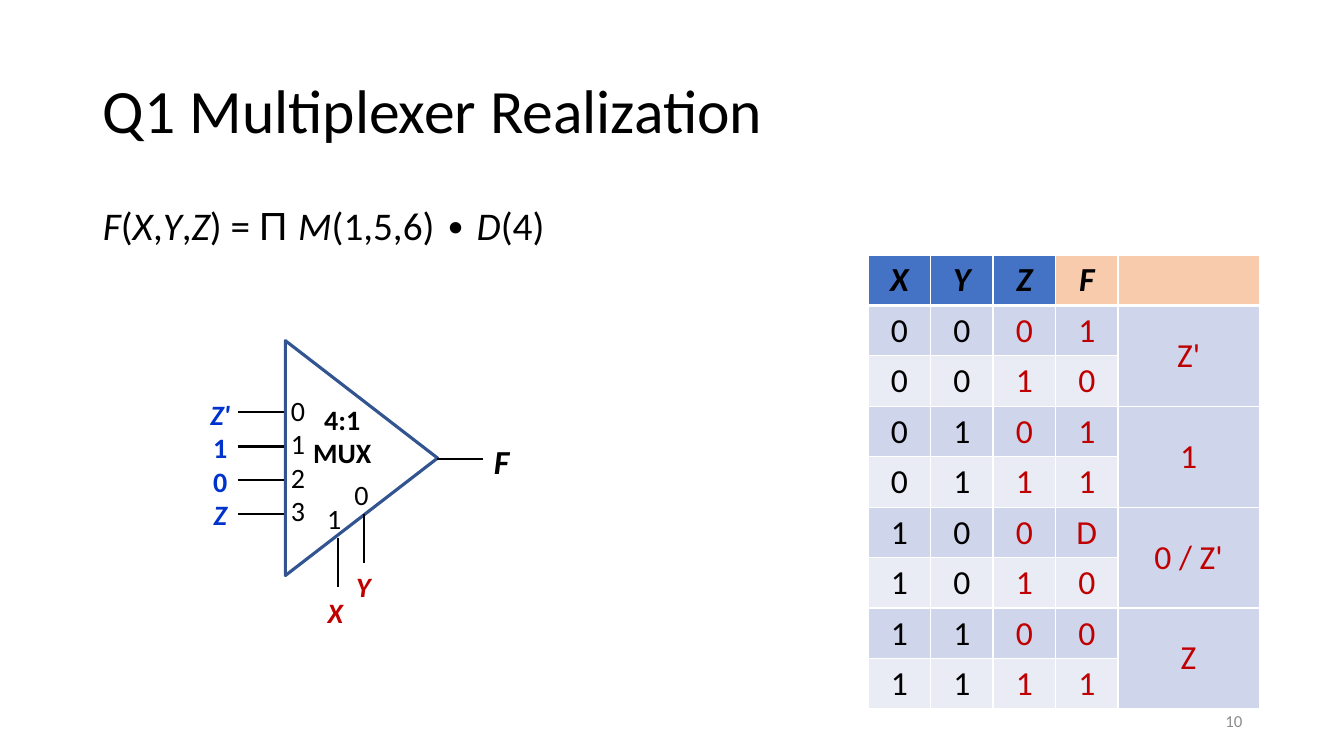
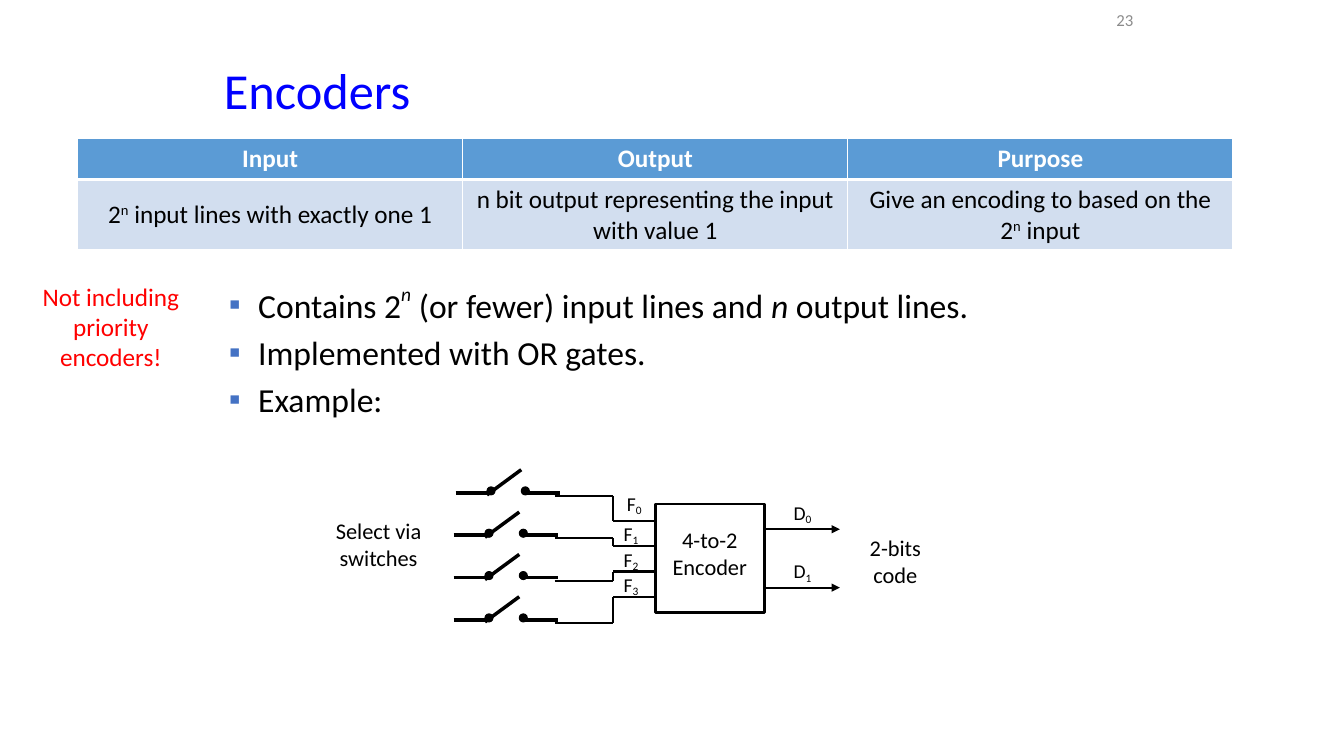
from lxml import etree
from pptx import Presentation
from pptx.dml.color import RGBColor
from pptx.enum import shapes, text
from pptx.oxml.ns import qn
from pptx.util import Inches, Pt

# Shared look
FONT = "Calibri"
BLACK = RGBColor(0x00, 0x00, 0x00)
WHITE = RGBColor(0xFF, 0xFF, 0xFF)
GRAY = RGBColor(0x8C, 0x8C, 0x8C)
RED = RGBColor(0xFF, 0x00, 0x00)
DARK_RED = RGBColor(0xC0, 0x00, 0x00)
TITLE_BLUE = RGBColor(0x00, 0x00, 0xFF)
INPUT_BLUE = RGBColor(0x00, 0x33, 0xCC)
OUTLINE_BLUE = RGBColor(0x32, 0x54, 0x91)
HEAD_BLUE = RGBColor(0x44, 0x72, 0xC4)
HEAD_ORANGE = RGBColor(0xF8, 0xCB, 0xAD)
BAND_DARK = RGBColor(0xCF, 0xD5, 0xEA)
BAND_LIGHT = RGBColor(0xE9, 0xEB, 0xF5)
ENCODER_HEAD = RGBColor(0x5B, 0x9B, 0xD5)
ENCODER_BAND = RGBColor(0xD2, 0xDE, 0xEF)
LEFT, CENTER, RIGHT = (text.PP_ALIGN.LEFT, text.PP_ALIGN.CENTER, text.PP_ALIGN.RIGHT)
TOP, MIDDLE = text.MSO_ANCHOR.TOP, text.MSO_ANCHOR.MIDDLE
BASELINES = {"exponent": 50, "sup": 30, "sub": -16}

# Multiplexer content: a run is plain text or (text, style)
FORMULA = [("F", "i"), "(", ("X", "i"), ",", ("Y", "i"), ",", ("Z", "i"), ") = ",
           ("Π ", "Arial"), ("M", "i"), "(1,5,6) ∙ ", ("D", "i"), "(4)"]
TRUTH_HEAD = ["X", "Y", "Z", "F", ""]
F_VALUES = "1011D001"
MUX_INPUTS = ["Z'", "1", "0", "Z"]
TABLE_INPUTS = ["Z'", "1", "0 / Z'", "Z"]
MUX_WIRES = [(2.36, y, 2.82, y) for y in (4.09, 4.43, 4.76, 5.1)] + [
    (3.35, 5.34, 3.35, 5.82), (3.61, 5.1, 3.61, 5.59), (4.33, 4.55, 4.79, 4.55)]
MUX_LABELS = [  # text, left, top, size, colour, bold, italic
    ("0", 3.3, 4.69, 20, BLACK, False, False),
    ("1", 3.03, 4.93, 20, BLACK, False, False),
    ("F", 4.69, 4.33, 24, BLACK, True, True),
    ("X", 3.04, 5.86, 20, DARK_RED, True, True),
    ("Y", 3.32, 5.6, 20, DARK_RED, True, True)]

# Encoder content
ENCODER_TABLE = [
    [["Input"], ["Output"], ["Purpose"]],
    [["2", ("n", "sup"), " input lines with exactly one 1"],
     ["n bit output representing the input with value 1"],
     ["Give an encoding to based on the 2", ("n", "sup"), " input"]]]
ENCODER_POINTS = [
    ["Contains 2", ("n", "exponent"), " (or fewer) input lines and ", ("n", "i"),
     " output lines."],
    ["Implemented with OR gates."],
    ["Example:"]]
SWITCH_LEFTS = [4.52, 4.5, 4.5, 4.5]
PINS = [  # letter, index, left, top, width
    ("F", "0", 6.08, 4.83, 0.42), ("F", "1", 6.08, 5.13, 0.36),
    ("F", "2", 6.08, 5.39, 0.36), ("F", "3", 6.08, 5.63, 0.36),
    ("D", "0", 7.75, 4.92, 0.42), ("D", "1", 7.75, 5.5, 0.42)]
ENCODER_NOTES = [
    ("Select via switches", (3.17, 5.08, 1.17, 0.64), 16, BLACK),
    ("2-bits code", (8.42, 5.25, 0.92, 0.64), 16, BLACK),
    ("Not including priority encoders!", (0.18, 2.74, 1.84, 1.01), 18, RED)]


def box(*lengths):
    return [Inches(length) for length in lengths]


def write(paragraph, runs, size, color=BLACK, bold=False, italic=False, align=LEFT):
    paragraph.alignment = align
    font = paragraph.font
    font.name, font.size, font.bold, font.italic = FONT, Pt(size), bold, italic
    font.color.rgb = color
    for item in runs:
        words, style = (item, "") if isinstance(item, str) else item
        run = paragraph.add_run()
        run.text = words
        if style in ("i", "exponent"):
            run.font.italic = True
        if style == "Arial":
            run.font.name = style
        if style in BASELINES:
            run._r.get_or_add_rPr().set("baseline", str(BASELINES[style] * 1000))


def write_lines(frame, lines, size, **look):
    for i, runs in enumerate(lines):
        paragraph = frame.paragraphs[0] if i == 0 else frame.add_paragraph()
        write(paragraph, runs, size, **look)


def label(slide, at, lines, size, pad=0.1, anchor=TOP, align=CENTER, **look):
    frame = slide.shapes.add_textbox(*box(*at)).text_frame
    frame.word_wrap = True
    frame.margin_left = frame.margin_right = Inches(pad)
    frame.vertical_anchor = anchor
    write_lines(frame, lines, size, align=align, **look)


def line(slide, ends, width=1.5, arrow=False):
    wire = slide.shapes.add_connector(shapes.MSO_CONNECTOR.STRAIGHT, *box(*ends))
    wire.line.color.rgb = BLACK
    wire.line.width = Pt(width)
    if arrow:
        etree.SubElement(wire.line._get_or_add_ln(), qn("a:tailEnd"), type="triangle")
    etree.SubElement(wire._element.spPr, qn("a:effectLst"))


def outline(slide, kind, at, color, width, fill=None):
    shape = slide.shapes.add_shape(kind, *box(*at))
    shape.shadow.inherit = False
    if fill is None:
        shape.fill.background()
    else:
        shape.fill.solid()
        shape.fill.fore_color.rgb = fill
    shape.line.color.rgb = color
    shape.line.width = Pt(width)
    return shape


def place(holder, at, anchor):
    holder.left, holder.top, holder.width, holder.height = box(*at)
    frame = holder.text_frame
    frame.auto_size = text.MSO_AUTO_SIZE.NONE
    frame.vertical_anchor = anchor
    return frame


def new_slide(prs, title, title_at, size, color, number, number_at):
    slide = prs.slides.add_slide(prs.slide_layouts[1])
    heading = place(slide.shapes.title, title_at, MIDDLE).paragraphs[0]
    heading.line_spacing = 0.9
    write(heading, [title], size, color)
    label(slide, number_at, [[number]], 12, color=GRAY, align=RIGHT, anchor=MIDDLE)
    return slide


def add_grid(slide, at, widths, heights):
    grid = slide.shapes.add_table(len(heights), len(widths), *box(*at)).table
    for column, width in zip(grid.columns, widths):
        column.width = Inches(width)
    for row, height in zip(grid.rows, heights):
        row.height = Inches(height)
    return grid


def fill_cell(grid, row, col, runs, size, fill, anchor=TOP, **look):
    cell = grid.cell(row, col)
    heavy = {0: "lnB", 1: "lnT"}.get(row)
    for side in ("lnL", "lnR", "lnT", "lnB"):
        width = Pt(3 if side == heavy else 1)
        border = etree.SubElement(cell._tc.get_or_add_tcPr(), qn("a:" + side), w=str(width))
        paint = etree.SubElement(border, qn("a:solidFill"))
        etree.SubElement(paint, qn("a:srgbClr"), val=str(WHITE))
    cell.fill.solid()
    cell.fill.fore_color.rgb = fill
    cell.vertical_anchor = anchor
    write(cell.text_frame.paragraphs[0], runs, size, align=CENTER, **look)


def multiplexer_slide(prs):
    slide = new_slide(prs, "Q1 Multiplexer Realization", (0.92, 0.4, 11.5, 1.45), 44,
                      BLACK, "10", (9.42, 6.95, 3, 0.4))
    formula = place(slide.placeholders[1], (0.92, 2, 11.5, 4.76), TOP).paragraphs[0]
    props = formula._p.get_or_add_pPr()
    props.set("marL", "0")
    props.set("indent", "0")
    etree.SubElement(props, qn("a:buNone"))
    formula.line_spacing = 0.9
    write(formula, FORMULA, 28)

    # Truth table, with one merged input cell per pair of rows
    grid = add_grid(slide, (8.61, 2.53, 3.88, 4.5), [0.62] * 4 + [1.4], [0.5] * 9)
    for col, name in enumerate(TRUTH_HEAD):
        fill_cell(grid, 0, col, [name] if name else [], 24,
                  HEAD_BLUE if col < 3 else HEAD_ORANGE, bold=True, italic=True)
    for row, result in enumerate(F_VALUES, 1):
        for col, value in enumerate(f"{row - 1:03b}" + result):
            fill_cell(grid, row, col, [value], 24, BAND_DARK if row % 2 else BAND_LIGHT,
                      color=BLACK if col < 2 else DARK_RED)
    for i, name in enumerate(TABLE_INPUTS):
        row = 2 * i + 1
        grid.cell(row, 4).merge(grid.cell(row + 1, 4))
        fill_cell(grid, row, 4, [name], 24, BAND_DARK, MIDDLE, color=DARK_RED)

    # Multiplexer symbol
    label(slide, (2.67, 3.85, 0.57, 1.45), [[str(i)] for i in range(4)], 20)
    body = outline(slide, shapes.MSO_SHAPE.FLOWCHART_EXTRACT, (2.42, 3.79, 2.33, 1.51),
                   OUTLINE_BLUE, 2.25)
    body.rotation = 90
    label(slide, (2.81, 3.94, 1.17, 0.77), [["4:1"], ["MUX"]], 20, bold=True)
    for ends in MUX_WIRES:
        line(slide, ends)
    for name, left, top, size, color, bold, italic in MUX_LABELS:
        label(slide, (left, top, 0.57, 0.44), [[name]], size, color=color,
              bold=bold, italic=italic)
    inputs = [[(name, "i" if "Z" in name else "")] for name in MUX_INPUTS]
    label(slide, (1.68, 3.89, 1.01, 1.45), inputs, 20, color=INPUT_BLUE, bold=True)


def draw_switch(slide, x, y):
    for dot_x in (x + 0.31, x + 0.65):
        outline(slide, shapes.MSO_SHAPE.OVAL, (dot_x, y, 0.08, 0.08), BLACK, 0.75, BLACK)
    line(slide, (x + 0.65, y - 0.17, x + 0.31, y + 0.08), 2.5)
    for lead_x in (x, x + 0.7):
        line(slide, (lead_x, y + 0.06, lead_x + 0.33, y + 0.06), 2.5)


def encoder_slide(prs):
    slide = new_slide(prs, "Encoders", (2.12, 0.57, 9.21, 0.7), 36, TITLE_BLUE,
                      "23", (10.39, 0.02, 0.95, 0.36))
    points = place(slide.placeholders[1], (2.17, 2.75, 9, 1.6), TOP)
    for i, runs in enumerate(ENCODER_POINTS):
        point = points.paragraphs[0] if i == 0 else points.add_paragraph()
        props = point._p.get_or_add_pPr()
        props.set("marL", str(Inches(0.29)))
        props.set("indent", str(-Inches(0.29)))
        tint = etree.SubElement(props, qn("a:buClr"))
        etree.SubElement(tint, qn("a:srgbClr"), val=str(HEAD_BLUE))
        etree.SubElement(props, qn("a:buFont"), typeface="Arial")
        etree.SubElement(props, qn("a:buChar"), char="▪")
        point.space_before = Pt(4.8 if i else 0)
        write(point, runs, 24)

    # Summary table
    grid = add_grid(slide, (0.77, 1.37, 11.46, 1.11), [3.82] * 3, [0.41, 0.7])
    for row, cells in enumerate(ENCODER_TABLE):
        for col, runs in enumerate(cells):
            if row == 0:
                fill_cell(grid, row, col, runs, 18, ENCODER_HEAD, color=WHITE, bold=True)
            else:
                fill_cell(grid, row, col, runs, 18, ENCODER_BAND, MIDDLE)

    # Encoder block and its outputs
    block = outline(slide, shapes.MSO_SHAPE.RECTANGLE, (6.5, 5, 1.08, 1.08), BLACK, 2)
    block.text_frame.word_wrap = True
    block.text_frame.vertical_anchor = MIDDLE
    block.text_frame.margin_bottom = Inches(0.15)
    write_lines(block.text_frame, [["4-to-2 Encoder"]], 16, align=CENTER)
    for y in (5.25, 5.83):
        line(slide, (7.58, y, 8.33, y), arrow=True)

    # Switches, each wired in three steps to its input
    for i, x in enumerate(SWITCH_LEFTS):
        switch_y = 4.83 + 0.42 * i
        wire_y, pin_y = switch_y + 0.09, 5.17 + 0.25 * i
        draw_switch(slide, x, switch_y)
        line(slide, (5.5, wire_y, 6.08, wire_y))
        line(slide, (6.08, wire_y, 6.08, pin_y))
        line(slide, (6.08, pin_y, 6.5, pin_y))

    # Labels
    for letter, index, left, top, width in PINS:
        label(slide, (left, top, width, 0.33), [[letter, (index, "sub")]], 14, pad=0)
    for words, at, size, color in ENCODER_NOTES:
        label(slide, at, [[words]], size, color=color)


def main():
    prs = Presentation()
    prs.slide_width, prs.slide_height = box(13.33, 7.5)
    multiplexer_slide(prs)
    encoder_slide(prs)
    prs.save("out.pptx")


if __name__ == "__main__":
    main()
